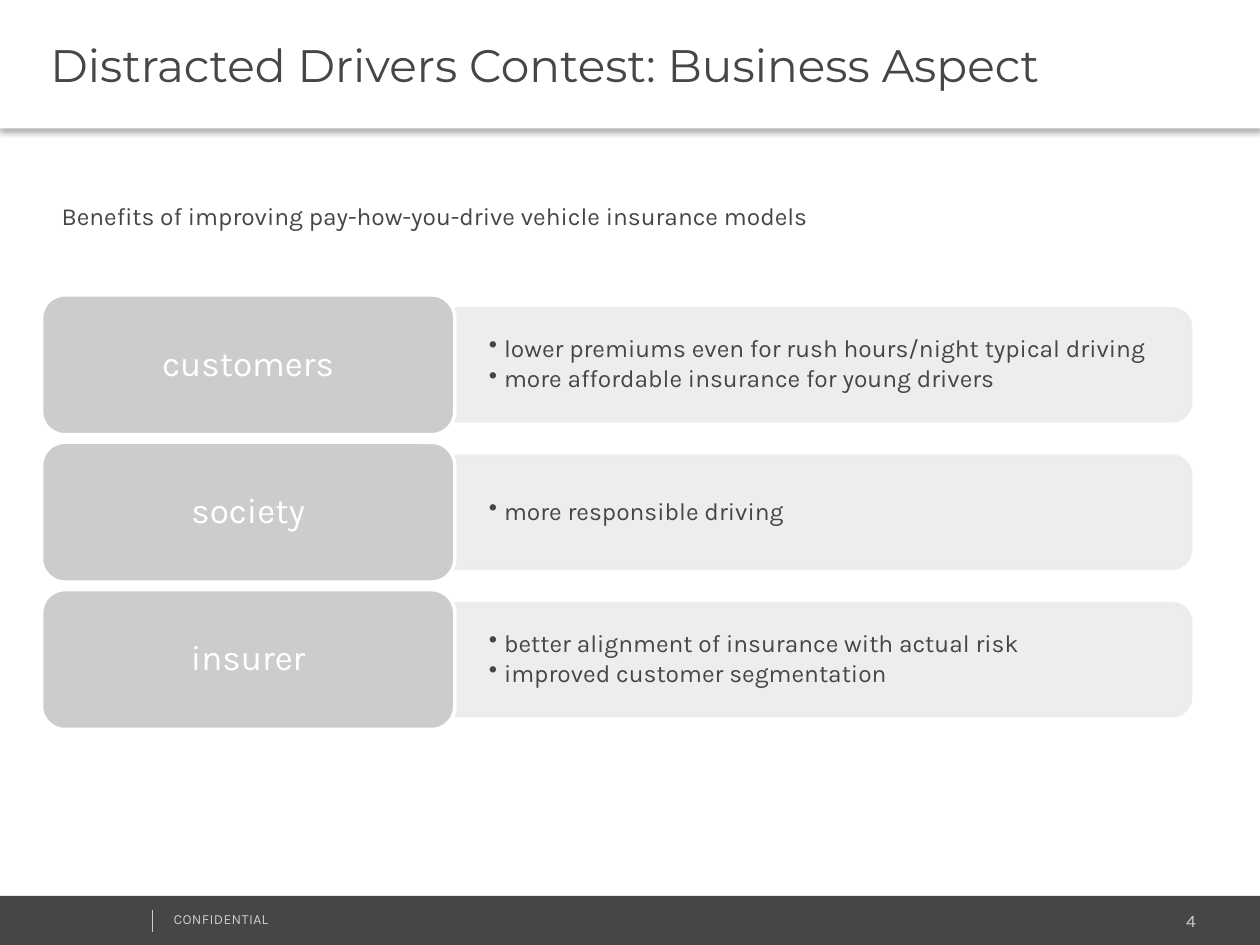
import pptx
import pptx.dml.color
import pptx.enum.shapes
import pptx.enum.text
import pptx.oxml
import pptx.oxml.ns
import pptx.util
import lxml.etree

Inches = pptx.util.Inches
Pt = pptx.util.Pt
Shape = pptx.enum.shapes.MSO_SHAPE
Align = pptx.enum.text.PP_ALIGN
Anchor = pptx.enum.text.MSO_ANCHOR
qn = pptx.oxml.ns.qn
NAMESPACE = pptx.oxml.ns.nsdecls("a")

WIDTH, HEIGHT = 10, 7.5
DARK, GREY, PALE, WHITE = "464547", "CCCCCC", "ECECEC", "FFFFFF"
ROW_TOP, ROW_PITCH, CARD_HEIGHT, BAR_HEIGHT = 2.34, 1.17, 1.11, 0.89
CARD_LEFT, CARD_WIDTH, BAR_WIDTH = 0.33, 3.28, 5.84
BAR_LEFT = CARD_LEFT + CARD_WIDTH
FOOTER_TOP = 7.11


def paint(target, color):
    if hasattr(target, "solid"):
        target.solid()
        target = target.fore_color
    target.rgb = pptx.dml.color.RGBColor.from_string(color)


def write(box, lines, size, color, font="Karla", align=Align.LEFT, spacing=1.0,
          after=0, insets=(0.1, 0.05, 0.1, 0.05), anchor=Anchor.TOP):
    frame = box.text_frame
    frame.word_wrap = True
    frame.auto_size = pptx.enum.text.MSO_AUTO_SIZE.NONE
    frame.vertical_anchor = anchor
    frame.margin_left, frame.margin_top, frame.margin_right, frame.margin_bottom = map(Inches, insets)
    for index, line in enumerate(lines):
        para = frame.add_paragraph() if index else frame.paragraphs[0]
        para.alignment = align
        para.line_spacing = spacing
        para.space_after = Pt(after)
        span = para.add_run()
        span.text = line
        span.font.name = font
        span.font.size = Pt(size)
        paint(span.font.color, color)
    return frame


deck = pptx.Presentation()
deck.slide_width, deck.slide_height = Inches(WIDTH), Inches(HEIGHT)
page = deck.slides.add_slide(deck.slide_layouts[5])
shapes = page.shapes

footer = shapes.add_shape(Shape.RECTANGLE, 0, Inches(FOOTER_TOP), Inches(WIDTH), Inches(HEIGHT - FOOTER_TOP))
footer.shadow.inherit = False
paint(footer.fill, DARK)
footer.line.fill.background()

number = shapes.add_textbox(Inches(7.96), Inches(7.17), Inches(1.63), Inches(0.27))
write(number, ["4"], 10, GREY, align=Align.RIGHT)
notice = shapes.add_textbox(Inches(1.28), Inches(7.18), Inches(2.53), Inches(0.24))
frame = write(notice, ["CONFIDENTIAL"], 8, GREY)
frame.paragraphs[0].runs[0].font._element.set("spc", "20")

divider = shapes.add_connector(pptx.enum.shapes.MSO_CONNECTOR.STRAIGHT,
                               Inches(1.21), Inches(7.22), Inches(1.21), Inches(7.4))
paint(divider.line.fill, GREY)
divider.line.width = Pt(0.25)
lxml.etree.SubElement(divider._element.spPr, qn("a:effectLst"))

benefits = [
    ("customers", ["lower premiums even for rush hours/night typical driving",
                   "more affordable insurance for young drivers"]),
    ("society", ["more responsible driving"]),
    ("insurer", ["better alignment of insurance with actual risk",
                 "improved customer segmentation"]),
]
for row, (group, gains) in enumerate(benefits):
    top = ROW_TOP + row * ROW_PITCH
    middle = top + CARD_HEIGHT / 2

    bar = shapes.add_shape(Shape.ROUND_2_SAME_RECTANGLE,
                           Inches(BAR_LEFT + (BAR_WIDTH - BAR_HEIGHT) / 2), Inches(middle - BAR_WIDTH / 2),
                           Inches(BAR_HEIGHT), Inches(BAR_WIDTH))
    bar.rotation = 90
    bar.shadow.inherit = False
    bar.line.width = Pt(2)
    for fill in (bar.fill, bar.line.fill):
        paint(fill, PALE)
    for color in bar._element.spPr.iter(qn("a:srgbClr")):
        lxml.etree.SubElement(color, qn("a:alpha")).set("val", "90000")

    gain_box = shapes.add_textbox(Inches(BAR_LEFT), Inches(middle - 0.4), Inches(5.79), Inches(0.8))
    frame = write(gain_box, gains, 14, DARK, spacing=0.9, after=2.1,
                  insets=(0.27, 0.14, 0.27, 0.14), anchor=Anchor.MIDDLE)
    for para in frame.paragraphs:
        para.level = 1
        properties = para._p.get_or_add_pPr()
        properties.set("marL", str(Inches(0.12)))
        properties.set("indent", str(-Inches(0.12)))
        lxml.etree.SubElement(properties, qn("a:buChar")).set("char", "•")

    card = shapes.add_shape(Shape.ROUNDED_RECTANGLE, Inches(CARD_LEFT), Inches(top),
                            Inches(CARD_WIDTH), Inches(CARD_HEIGHT))
    card.shadow.inherit = False
    paint(card.fill, GREY)
    paint(card.line.fill, WHITE)
    card.line.width = Pt(2)
    write(card, [group], 20, WHITE, align=Align.CENTER, spacing=0.9, after=7,
          insets=(0.08, 0.04, 0.08, 0.04), anchor=Anchor.MIDDLE)

title = shapes.title
title.left, title.top, title.width, title.height = 0, 0, Inches(WIDTH), Inches(1.02)
paint(title.fill, WHITE)
write(title, ["Distracted Drivers Contest: Business Aspect"], 26, DARK, font="Montserrat",
      insets=(0.4, 0.05, 0.1, 0.05), anchor=Anchor.MIDDLE)
title._element.spPr.append(pptx.oxml.parse_xml(
    f'<a:effectLst {NAMESPACE}><a:outerShdw blurRad="{Pt(3.1)}" dist="{Pt(2)}" dir="5400000" '
    'algn="t" rotWithShape="0"><a:srgbClr val="000000"><a:alpha val="30000"/></a:srgbClr>'
    '</a:outerShdw></a:effectLst>'))

subtitle = shapes.add_textbox(Inches(0.39), Inches(1.5), Inches(9.12), Inches(0.36))
write(subtitle, ["Benefits of improving pay-how-you-drive vehicle insurance models"], 14, DARK, spacing=1.2)

deck.save("out.pptx")
